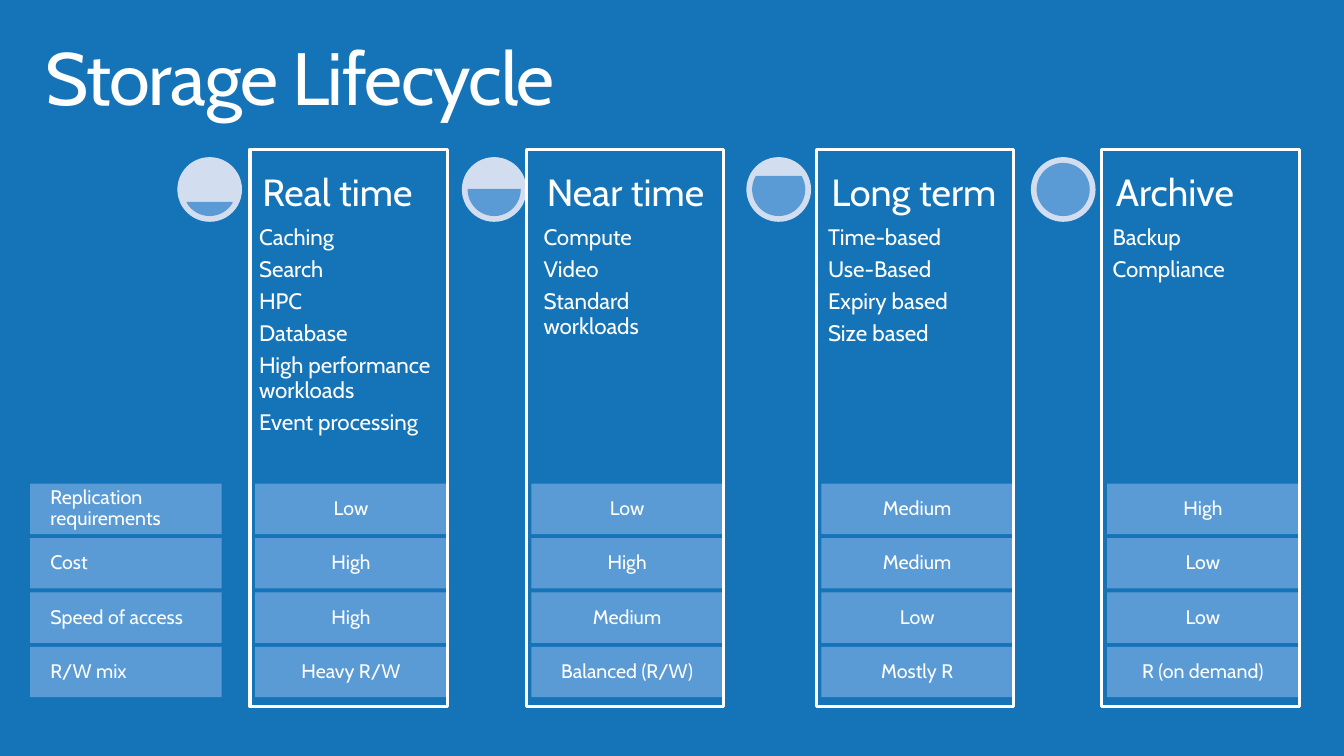
import pptx
import pptx.dml.color
import pptx.enum.shapes
import pptx.enum.text
import pptx.util

Cm = pptx.util.Cm
Pt = pptx.util.Pt
Kind = pptx.enum.shapes.MSO_SHAPE
Anchor = pptx.enum.text.MSO_ANCHOR
Align = pptx.enum.text.PP_ALIGN

BLUE, PALE, WHITE = "5B9BD5", "D2DEEF", "FFFFFF"


def paint(target, color):
    """Give a fill or a font colour a solid hex colour."""
    if hasattr(target, "solid"):
        target.solid()
        target = target.fore_color
    target.rgb = pptx.dml.color.RGBColor.from_string(color)


def write(box, lines, size, inset_x, inset_y, anchor=Anchor.TOP,
          align=Align.LEFT, gap=0, spacing=None):
    """Fill a shape with one paragraph for each line."""
    frame = box.text_frame
    frame.word_wrap = True
    frame.vertical_anchor = anchor
    frame.margin_left = frame.margin_right = Cm(inset_x)
    frame.margin_top = frame.margin_bottom = Cm(inset_y)
    for index, line in enumerate(lines):
        para = frame.add_paragraph() if index else frame.paragraphs[0]
        para.alignment = align
        para.line_spacing = 0.9
        para.space_after = Pt(gap)
        span = para.add_run()
        span.text = line
        span.font.name = "Cabin"
        span.font.size = Pt(size)
        paint(span.font.color, WHITE)
        if spacing is not None:
            span.font._element.set("spc", str(spacing))


deck = pptx.Presentation()
deck.slide_width, deck.slide_height = Cm(33.87), Cm(19.05)
page = deck.slides.add_slide(deck.slide_layouts[6])
paint(page.background.fill, "1574B8")
shapes = page.shapes

title = shapes.add_textbox(Cm(0.74), Cm(0.81), Cm(32.05), Cm(2.49))
write(title, ["Storage Lifecycle"], 52.9, 0.41, 0.25, spacing=-100)

# Heading, chord start and end in degrees, uses
stages = [
    ("Real time", 30, 150, ["Caching", "Search", "HPC", "Database",
                            "High performance workloads", "Event processing"]),
    ("Near time", 0, 180, ["Compute", "Video", "Standard workloads"]),
    ("Long term", 330, 210, ["Time-based", "Use-Based", "Expiry based", "Size based"]),
    ("Archive", 270, 270, ["Backup", "Compliance"]),
]
stage_top, dial_size, rim = 3.96, 1.63, 0.16
for column, (heading, start, end, uses) in enumerate(stages):
    left = 4.47 + 7.17 * column
    dial = shapes.add_shape(Kind.OVAL, Cm(left), Cm(stage_top), Cm(dial_size), Cm(dial_size))
    dial.shadow.inherit = False
    paint(dial.fill, PALE)
    dial.line.fill.background()

    level_size = dial_size - 2 * rim
    level = shapes.add_shape(Kind.CHORD, Cm(left + rim), Cm(stage_top + rim),
                             Cm(level_size), Cm(level_size))
    level.shadow.inherit = False
    # Angles are stored in 60000ths of a degree, adjustments in 100000ths
    level.adjustments[0] = start * 0.6
    level.adjustments[1] = end * 0.6
    paint(level.fill, BLUE)
    paint(level.line.fill, BLUE)
    level.line.width = Pt(0.85)

    text_left = Cm(left + 1.96)
    use_list = shapes.add_textbox(text_left, Cm(5.61), Cm(4.85), Cm(6.88))
    write(use_list, uses, 16, 0.1, 0.1, gap=5.6)
    heading_box = shapes.add_textbox(text_left, Cm(stage_top), Cm(4.85), Cm(dial_size))
    write(heading_box, [heading], 27, 0.18, 0.18, anchor=Anchor.BOTTOM)

frame_lefts = [6.3, 13.26, 20.57, 27.77]
cell_lefts = [0.76] + [left + 0.13 for left in frame_lefts]
traits = [
    ("Replication requirements", "Low", "Low", "Medium", "High"),
    ("Cost", "High", "High", "Medium", "Low"),
    ("Speed of access", "High", "Medium", "Low", "Low"),
    ("R/W mix", "Heavy R/W", "Balanced (R/W)", "Mostly R", "R (on demand)"),
]
for row, values in enumerate(traits):
    for column, (left, value) in enumerate(zip(cell_lefts, values)):
        cell = shapes.add_shape(Kind.RECTANGLE, Cm(left), Cm(12.19 + 1.37 * row),
                                Cm(4.83), Cm(1.27))
        cell.shadow.inherit = False
        paint(cell.fill, BLUE)
        cell.line.fill.background()
        write(cell, [value], 14, 0.51, 0.41, anchor=Anchor.MIDDLE,
              align=Align.CENTER if column else Align.LEFT)

for left in frame_lefts:
    border = shapes.add_shape(Kind.RECTANGLE, Cm(left), Cm(3.76), Cm(4.98), Cm(14.05))
    border.shadow.inherit = False
    border.fill.background()
    paint(border.line.fill, WHITE)
    border.line.width = Pt(2.25)

deck.save("out.pptx")
